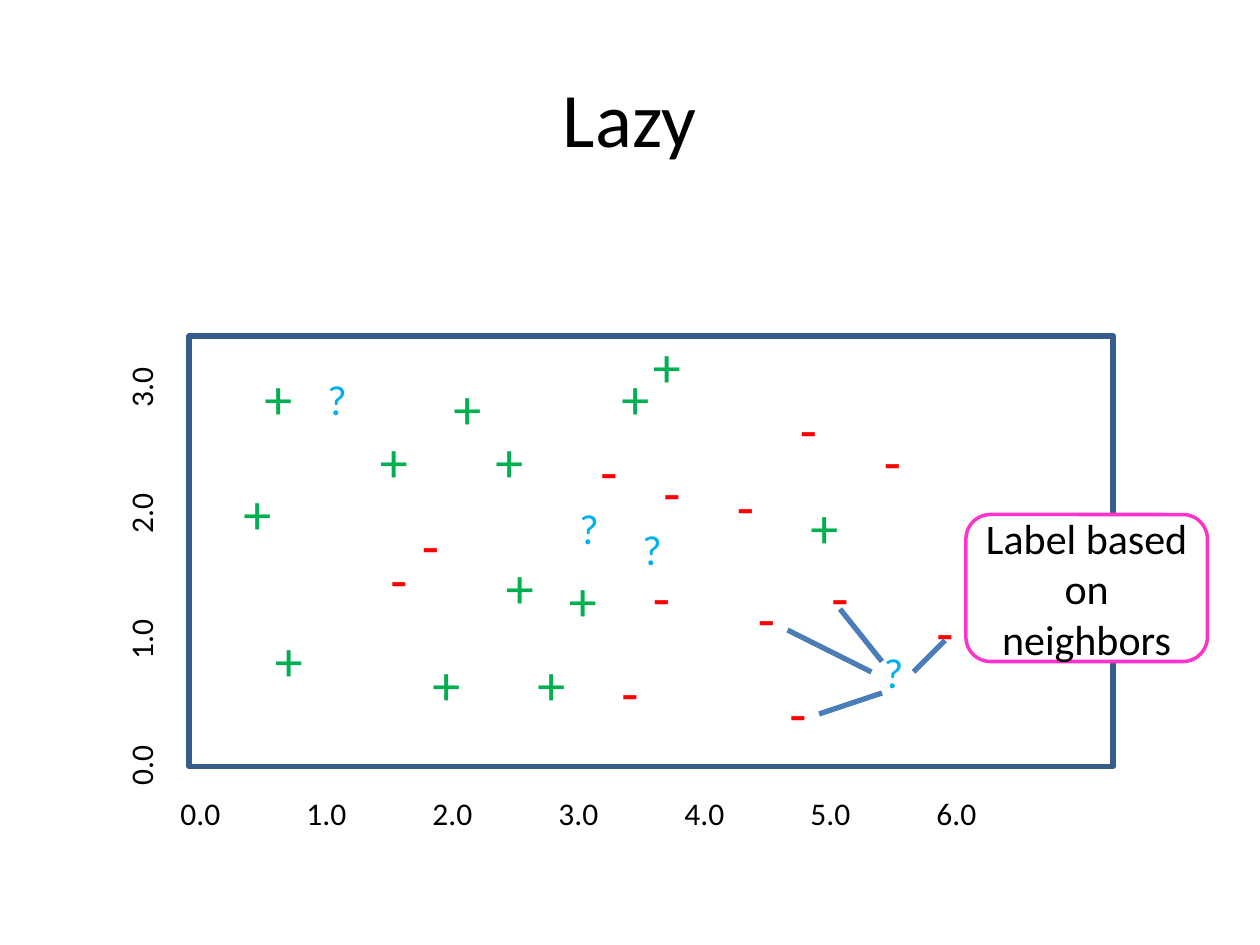
"""Build the Lazy slide: a scatter of labelled points with a query and its neighbors."""
from lxml import etree
from pptx import Presentation
from pptx import util as u
from pptx.dml.color import RGBColor
from pptx.enum import shapes, text
from pptx.oxml.ns import qn

COLORS = {"black": "000000", "white": "FFFFFF", "frame": "385D8A", "link": "4A7EBB",
          "plus": "00B050", "minus": "FF0000", "query": "00B0F0", "callout": "FF33CC"}
CELL = u.Inches(1) / 12


def cells(*counts):
    return [round(count * CELL) for count in counts]


def write(shape, words, size, color="black", tabs=0, **formats):
    frame = shape.text_frame
    for name, value in {"word_wrap": True, **formats}.items():
        setattr(frame, name, value)
    paragraph = frame.paragraphs[0]
    paragraph.text = words
    if tabs:
        tab_list = etree.SubElement(paragraph._p.get_or_add_pPr(), qn("a:tabLst"))
        for stop in range(1, tabs + 1):
            etree.SubElement(tab_list, qn("a:tab"), pos=str(u.Inches(stop)), algn="l")
    font = paragraph.runs[0].font
    for name, value in {"name": "Calibri", "size": u.Pt(size)}.items():
        setattr(font, name, value)
    font.color.rgb = RGBColor.from_string(COLORS[color])
    return paragraph


presentation = Presentation()
presentation.slide_width, presentation.slide_height = cells(120, 90)
slide = presentation.slides.add_slide(presentation.slide_layouts[6])
grow = {"auto_size": text.MSO_AUTO_SIZE.SHAPE_TO_FIT_TEXT}
middle = {"vertical_anchor": text.MSO_ANCHOR.MIDDLE}

title = slide.shapes.add_textbox(*cells(6, 3.6, 108, 15))
write(title, "Lazy", 44, **middle).alignment = text.PP_ALIGN.CENTER

for left, top, rotation, count in [(16, 75, 0, 7), (-33.1, 27.1, 270, 4)]:
    axis = slide.shapes.add_textbox(*cells(left, top, 93, 4.8))
    axis.rotation = rotation
    write(axis, "\t".join(f"{value}.0" for value in range(count)), 18, tabs=7, **grow)

panels = {}
for name, kind, place, color, width in [
    ("plot", "RECTANGLE", (18, 32, 88, 41), "frame", 3),
    ("callout", "ROUNDED_RECTANGLE", (92, 49, 23, 14), "callout", 2),
]:
    panel = slide.shapes.add_shape(getattr(shapes.MSO_SHAPE, kind), *cells(*place))
    panel.shadow.inherit = False
    panel.line.color.rgb = RGBColor.from_string(COLORS[color])
    panel.line.width = u.Pt(width)
    panels[name] = panel
panels["plot"].fill.background()
panels["callout"].fill.solid()
panels["callout"].fill.fore_color.rgb = RGBColor.from_string(COLORS["white"])
label = write(panels["callout"], "Label based on neighbors", 24, **middle)
label.alignment = text.PP_ALIGN.CENTER

points = [
    ("+", "plus", 32, 7.7, [
        (35, 40), (22, 45), (25, 59), (40, 61.3), (46, 40), (42, 35), (47, 52),
        (50, 61.3), (53, 53.3), (58, 34), (24, 34), (76, 46.3), (61, 31)]),
    ("-", "minus", 32, 7.7, [
        (56, 41), (62, 43), (61, 53), (58, 62), (74, 64), (69, 44.3), (39, 48),
        (78, 53), (75, 37), (36, 51.3), (71, 55), (83, 40), (88, 56.3)]),
    ("?", "query", 24, 6, [(54, 47.3), (30, 35), (83, 61), (60, 49.3)]),
]
for symbol, color, size, height, places in points:
    for column, row in places:
        point = slide.shapes.add_textbox(*cells(column, row, 7, height))
        write(point, symbol, size, color, **grow)

for ends in [(75, 60, 83, 64), (87, 64, 90, 61), (78, 68, 84, 66), (80, 58, 84, 63)]:
    link = slide.shapes.add_connector(shapes.MSO_CONNECTOR.STRAIGHT, *cells(*ends))
    link.line.color.rgb = RGBColor.from_string(COLORS["link"])
    link.line.width = u.Pt(3)
    etree.SubElement(link._element.spPr, qn("a:effectLst"))

presentation.save("out.pptx")
